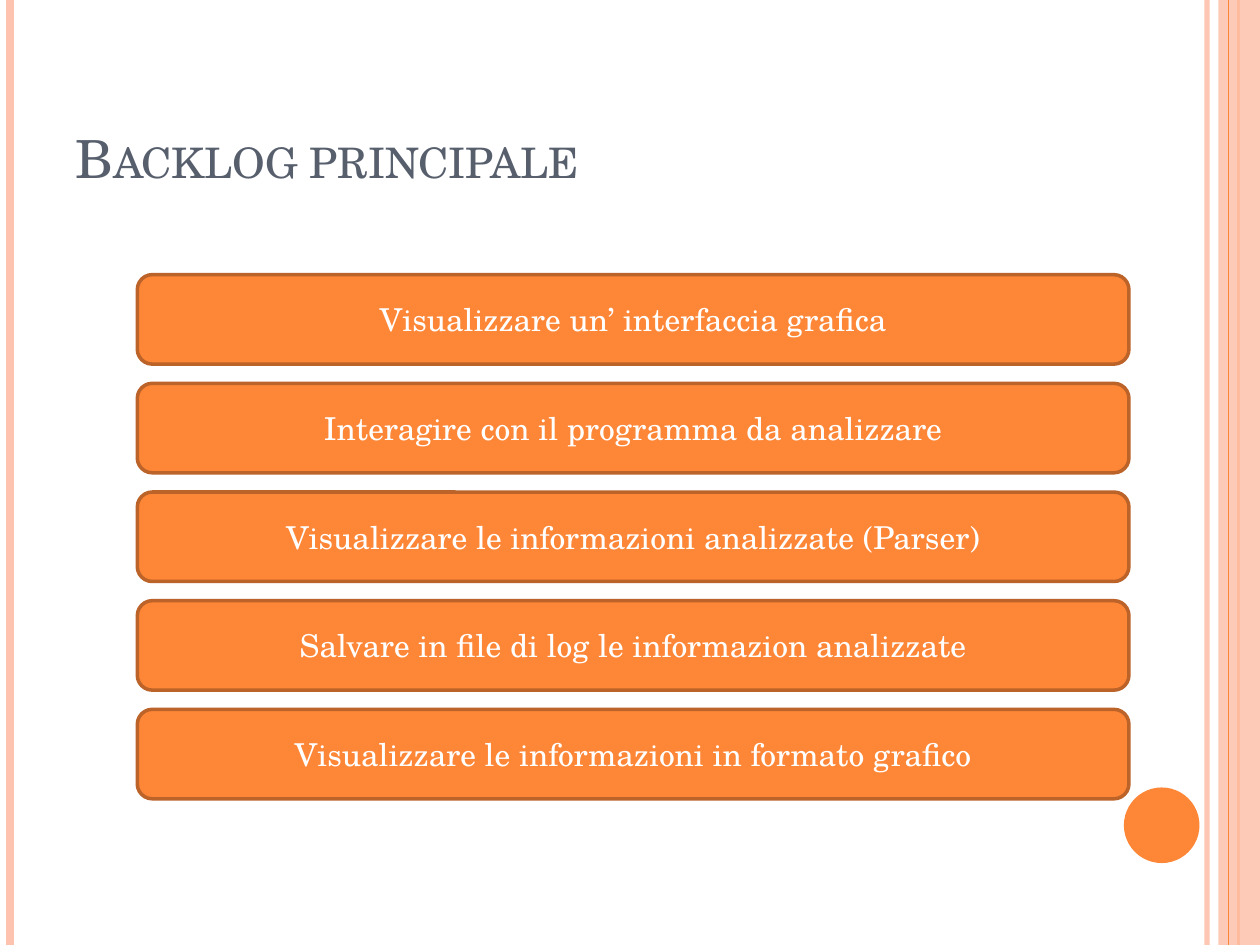
from lxml import etree
from pptx import Presentation
from pptx.dml.color import RGBColor
from pptx.enum import shapes, text
from pptx.oxml.ns import qn
from pptx.util import Inches, Pt

FONT = "TeX Gyre Schola"
ORANGE = "FE8637"
PEACH = "FEC3AE"
SLIDE_WIDTH, SLIDE_HEIGHT = 10, 7.5
BACKLOG = [
    "Visualizzare un’ interfaccia grafica",
    "Interagire con il programma da analizzare",
    "Visualizzare le informazioni analizzate (Parser)",
    "Salvare in file di log le informazion analizzate",
    "Visualizzare le informazioni in formato grafico",
]


def set_color(color_format, value, opacity=100):
    color_format.rgb = RGBColor.from_string(value)
    if opacity < 100:
        color = color_format._xFill.find(qn("a:srgbClr"))
        etree.SubElement(color, qn("a:alpha")).set("val", str(opacity * 1000))


def set_fill(fill, value, opacity=100):
    fill.solid()
    set_color(fill.fore_color, value, opacity)


def add_filled_shape(slide, kind, left, top, width, height, color, opacity=100):
    shape = slide.shapes.add_shape(
        kind, Inches(left), Inches(top), Inches(width), Inches(height)
    )
    shape.shadow.inherit = False
    set_fill(shape.fill, color, opacity)
    shape.line.fill.background()
    return shape


def add_vertical_line(slide, x, top, height, color, weight, opacity=100):
    line = slide.shapes.add_connector(
        shapes.MSO_CONNECTOR.STRAIGHT,
        Inches(x), Inches(top), Inches(x), Inches(top + height),
    )
    line.line.width = Pt(weight)
    set_fill(line.line.fill, color, opacity)
    etree.SubElement(line._element.spPr, qn("a:effectLst"))


def write_text(shape, content, size, color):
    frame = shape.text_frame
    frame.word_wrap = True
    frame.text = content
    font = frame.paragraphs[0].runs[0].font
    font.name = FONT
    font.size = Pt(size)
    set_color(font.color, color)


def add_decoration(slide, left, top, width, height):
    right = left + width
    add_vertical_line(slide, right - 0.42, top, height, PEACH, 3, 93)
    add_vertical_line(slide, left + 0.08, top, height, PEACH, 4.5)
    add_vertical_line(slide, right - 0.17, top, height, ORANGE, 1.5)
    add_filled_shape(
        slide, shapes.MSO_SHAPE.RECTANGLE,
        right - 0.33, top, 0.33, height, PEACH, 87,
    )
    add_vertical_line(slide, right - 0.25, top, height, ORANGE, 0.75)
    add_filled_shape(
        slide, shapes.MSO_SHAPE.OVAL,
        right - 1.08, top + height - 1.25, 0.6, 0.6, ORANGE,
    )


def add_title(slide, left, top, width, height):
    title = slide.shapes.add_textbox(
        Inches(left), Inches(top), Inches(width), Inches(height)
    )
    write_text(title, "Backlog principale", 30, "575F6D")
    title.text_frame.vertical_anchor = text.MSO_ANCHOR.BOTTOM
    run = title.text_frame.paragraphs[0].runs[0]
    run._r.get_or_add_rPr().set("cap", "small")


def add_backlog(slide, left, top, width, height):
    item_height = 0.71
    pitch = (height - item_height) / (len(BACKLOG) - 1)
    for index, item in enumerate(BACKLOG):
        shape = add_filled_shape(
            slide, shapes.MSO_SHAPE.ROUNDED_RECTANGLE,
            left, top + index * pitch, width, item_height, ORANGE,
        )
        set_fill(shape.line.fill, "BC6329")
        shape.line.width = Pt(2)
        write_text(shape, item, 18, "FFFFFF")
        shape.text_frame.vertical_anchor = text.MSO_ANCHOR.MIDDLE
        shape.text_frame.paragraphs[0].alignment = text.PP_ALIGN.CENTER


def main():
    presentation = Presentation()
    presentation.slide_width = Inches(SLIDE_WIDTH)
    presentation.slide_height = Inches(SLIDE_HEIGHT)
    slide = presentation.slides.add_slide(presentation.slide_layouts[6])
    add_decoration(slide, 0, 0, SLIDE_WIDTH, SLIDE_HEIGHT)
    add_title(slide, 0.5, 0.3, 8.17, 1.25)
    add_backlog(slide, 1.09, 2.18, 7.87, 4.16)
    presentation.save("out.pptx")


if __name__ == "__main__":
    main()
